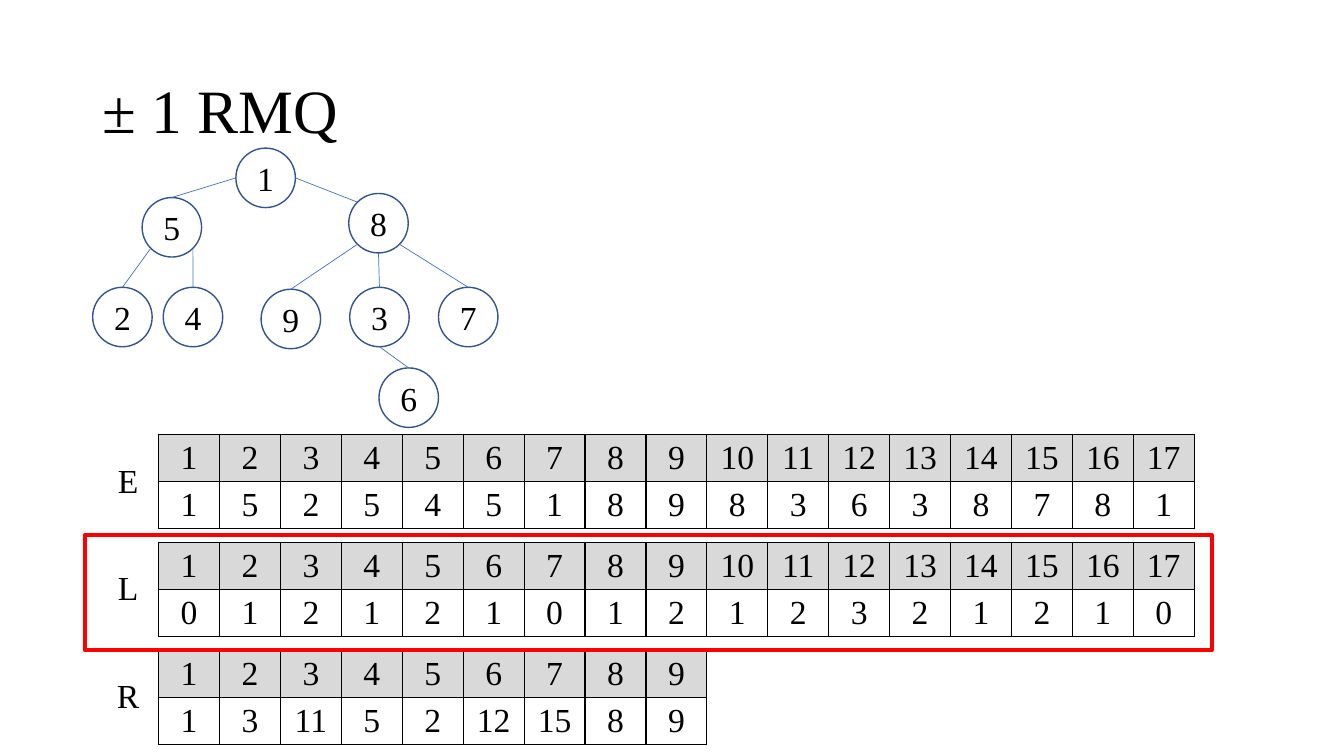
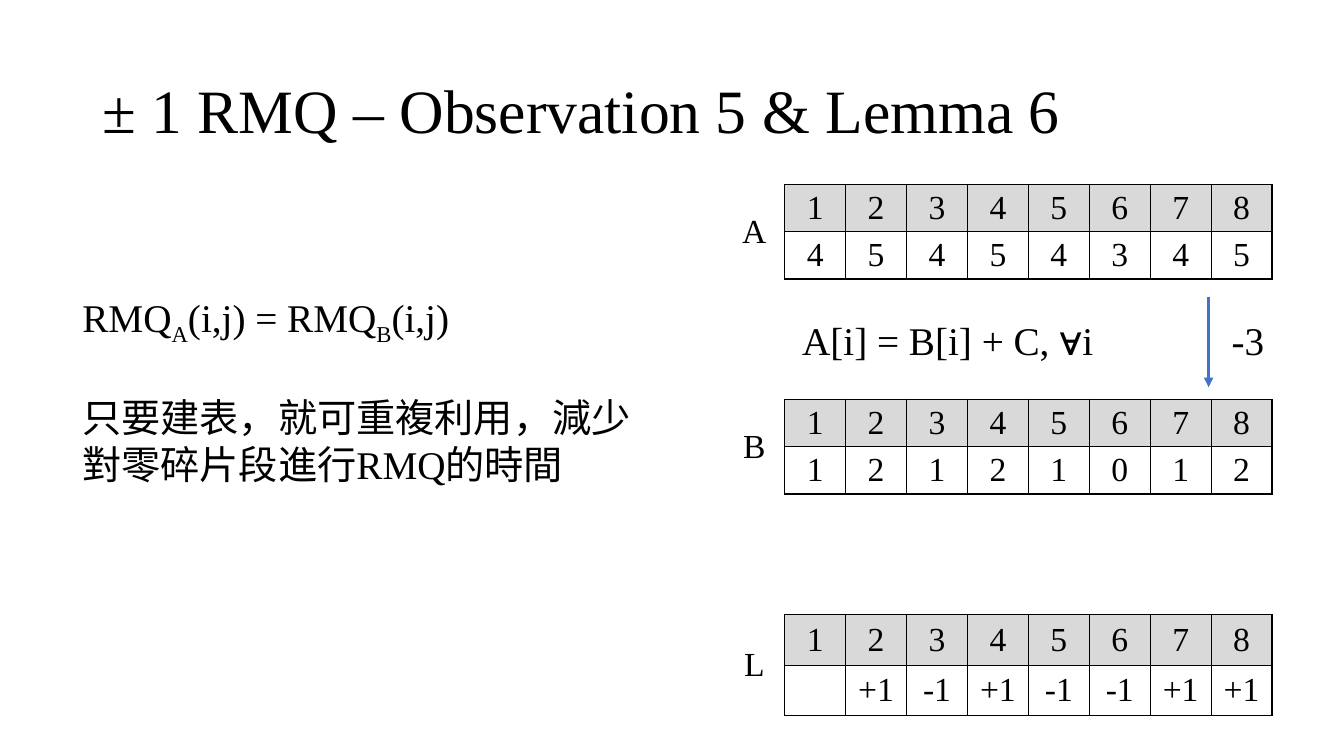
import math

import pptx
import pptx.dml.color
import pptx.enum.shapes
import pptx.enum.text
import pptx.oxml.ns
import pptx.util
from lxml import etree

Pt = pptx.util.Pt
RGBColor = pptx.dml.color.RGBColor
qn = pptx.oxml.ns.qn
ALIGN = pptx.enum.text.PP_ALIGN
ANCHOR = pptx.enum.text.MSO_ANCHOR
SHAPE = pptx.enum.shapes.MSO_SHAPE

BLACK = RGBColor(0x00, 0x00, 0x00)
WHITE = RGBColor(0xFF, 0xFF, 0xFF)
GRAY = RGBColor(0xD9, 0xD9, 0xD9)
BLUE = RGBColor(0x44, 0x72, 0xC4)
DARK_BLUE = RGBColor(0x32, 0x54, 0x91)
RED = RGBColor(0xFF, 0x00, 0x00)

LATIN = "Times New Roman"
CHINESE = "Noto Sans CJK SC"

NODE_SIZE = 42.5
COLUMN_WIDTH = 43.52
ROW_HEIGHT = 33.75

# Connection sites of an ellipse, counted counterclockwise from the top
TOP, TOP_LEFT, LEFT, BOTTOM_LEFT, BOTTOM, BOTTOM_RIGHT, RIGHT = range(7)

NODES = {
    1: (168.5, 105.8),
    5: (101.5, 141.1),
    2: (66.2, 205.2),
    4: (116.6, 205.2),
    8: (249.1, 138.2),
    9: (186.5, 206.6),
    3: (249.8, 205.2),
    6: (270.7, 262.8),
    7: (313.2, 205.2),
}
EDGES = [
    (1, LEFT, 5, TOP),
    (5, BOTTOM_LEFT, 2, TOP),
    (5, BOTTOM_RIGHT, 4, TOP),
    (1, RIGHT, 8, TOP_LEFT),
    (8, BOTTOM_LEFT, 9, TOP),
    (8, BOTTOM_RIGHT, 7, TOP),
    (8, BOTTOM, 3, TOP),
    (3, BOTTOM, 6, TOP),
]
TOUR_ARRAYS = [
    ("E", "1 5 2 5 4 5 1 8 9 8 3 6 3 8 7 8 1".split()),
    ("L", "0 1 2 1 2 1 0 1 2 1 2 3 2 1 2 1 0".split()),
    ("R", "1 3 11 5 2 12 15 8 9".split()),
]


def style(paragraph, size, align=ALIGN.LEFT):
    paragraph.alignment = align
    paragraph.font.size = Pt(size)
    paragraph.font.name = LATIN
    paragraph.font.color.rgb = BLACK


def add_text(page, left, top, width, height, text, size=28):
    box = page.shapes.add_textbox(Pt(left), Pt(top), Pt(width), Pt(height))
    box.text_frame.word_wrap = True
    box.text_frame.text = text
    style(box.text_frame.paragraphs[0], size)
    return box.text_frame


def add_page(deck, title):
    page = deck.slides.add_slide(deck.slide_layouts[6])
    frame = add_text(page, 66.2, 28.8, 828, 104.4, title, 44)
    frame.vertical_anchor = ANCHOR.MIDDLE
    frame.paragraphs[0].line_spacing = 0.9
    return page


def add_outline(page, kind, left, top, width, height, color, weight):
    shape = page.shapes.add_shape(kind, Pt(left), Pt(top), Pt(width), Pt(height))
    shape.shadow.inherit = False
    shape.fill.background()
    shape.line.color.rgb = color
    shape.line.width = Pt(weight)
    return shape


def add_node(page, number, left, top):
    node = add_outline(page, SHAPE.OVAL, left, top, NODE_SIZE, NODE_SIZE, DARK_BLUE, 1)
    node.fill.solid()
    node.fill.fore_color.rgb = WHITE
    frame = node.text_frame
    frame.margin_left = frame.margin_right = frame.margin_top = frame.margin_bottom = 0
    frame.vertical_anchor = ANCHOR.MIDDLE
    frame.text = str(number)
    style(frame.paragraphs[0], 24, ALIGN.CENTER)
    return node


def add_line(page, start, end, weight):
    line = page.shapes.add_connector(
        pptx.enum.shapes.MSO_CONNECTOR.STRAIGHT, *(Pt(value) for value in (*start, *end))
    )
    line.line.color.rgb = BLUE
    line.line.width = Pt(weight)
    etree.SubElement(line._element.spPr, qn("a:effectLst"))
    return line


def site_point(number, site):
    """Return the point on a node's rim that belongs to a connection site."""
    left, top = NODES[number]
    radius = NODE_SIZE / 2
    angle = math.radians(45 * site)
    return left + radius * (1 - math.sin(angle)), top + radius * (1 - math.cos(angle))


def add_tree(page):
    nodes = {number: add_node(page, number, *place) for number, place in NODES.items()}
    for parent, parent_site, child, child_site in EDGES:
        edge = add_line(page, site_point(parent, parent_site), site_point(child, child_site), 0.5)
        links = edge._element.nvCxnSpPr.cNvCxnSpPr
        for tag, number, site in (("a:stCxn", parent, parent_site), ("a:endCxn", child, child_site)):
            etree.SubElement(links, qn(tag), id=str(nodes[number].shape_id), idx=str(site))


def set_borders(cell, visible):
    """Draw the named sides (L, R, T, B) in black and hide the others."""
    properties = cell._tc.get_or_add_tcPr()
    for index, side in enumerate("LRTB"):
        border = etree.Element(qn(f"a:ln{side}"), w=str(Pt(1)))
        if side in visible:
            fill = etree.SubElement(border, qn("a:solidFill"))
            etree.SubElement(fill, qn("a:srgbClr"), val=str(BLACK))
        else:
            etree.SubElement(border, qn("a:noFill"))
        properties.insert(index, border)


def fill_cell(cell, text, color, visible="LRTB"):
    cell.text = text
    cell.vertical_anchor = ANCHOR.MIDDLE
    cell.margin_left = cell.margin_right = cell.margin_top = cell.margin_bottom = Pt(2)
    if color is None:
        cell.fill.background()
    else:
        cell.fill.solid()
        cell.fill.fore_color.rgb = color
    style(cell.text_frame.paragraphs[0], 24, ALIGN.CENTER)
    set_borders(cell, visible)


def add_array(page, left, top, label, values, row_height=ROW_HEIGHT):
    """Add a labelled array: a grey row of indices above a row of values."""
    count = len(values) + 1
    frame = page.shapes.add_table(
        2, count, Pt(left), Pt(top), Pt(COLUMN_WIDTH * count), Pt(2 * row_height)
    )
    table = frame.table
    table.first_row = table.horz_banding = False
    for column in table.columns:
        column.width = Pt(COLUMN_WIDTH)
    for row in table.rows:
        row.height = Pt(row_height)
    fill_cell(table.cell(0, 0), label, None, "R")
    fill_cell(table.cell(1, 0), "", None, "R")
    table.cell(0, 0).merge(table.cell(1, 0))
    for index, value in enumerate(values, 1):
        fill_cell(table.cell(0, index), str(index), GRAY)
        fill_cell(table.cell(1, index), value, WHITE)


def add_span(paragraph, text, baseline=None, chinese=False):
    span = paragraph.add_run()
    span.text = text
    properties = span._r.get_or_add_rPr()
    if baseline is not None:
        properties.set("baseline", str(baseline * 1000))
    if chinese:
        span.font.name = CHINESE
        etree.SubElement(properties, qn("a:ea"), typeface=CHINESE)


def add_remark(page):
    frame = add_text(page, 51.8, 205.9, 416.9, 143.3, "")
    formula = frame.paragraphs[0]
    for text, baseline in (
        ("RMQ", None), ("A", -25), ("(i,j) = RMQ", None), ("B", -25), ("(i,j)", None)
    ):
        add_span(formula, text, baseline)
    reuse = frame.add_paragraph()
    reuse.space_before = Pt(33)
    style(reuse, 28)
    add_span(reuse, "只要建表，就可重複利用，減少對零碎片段進行", chinese=True)
    add_span(reuse, "RMQ")
    add_span(reuse, "的時間", chinese=True)


def build_tour_page(deck):
    page = add_page(deck, "± 1 RMQ")
    add_tree(page)
    for index, (label, values) in enumerate(TOUR_ARRAYS):
        add_array(page, 69.8, 310.3 + 77.1 * index, label, values)
    add_outline(page, SHAPE.RECTANGLE, 60.5, 382.3, 805, 82.1, RED, 3)


def build_lemma_page(deck):
    page = add_page(deck, "± 1 RMQ – Observation 5 & Lemma 6")
    left = 517
    add_array(page, left, 131.8, "A", "4 5 4 5 4 3 4 5".split())
    add_array(page, left, 285.4, "B", "1 2 1 2 1 0 1 2".split())
    add_array(page, left, 439.2, "L", ["", *"+1 -1 +1 -1 -1 +1 +1".split()], 36)
    add_text(page, 565.9, 222.5, 321.8, 41, "A[i] = B[i] + C, ∀i")
    add_text(page, 872.6, 222.5, 46.8, 41, "-3")
    arrow = add_line(page, (863.3, 212.4), (863.3, 276.5), 2.25)
    etree.SubElement(arrow.line._get_or_add_ln(), qn("a:tailEnd"), type="triangle")
    add_remark(page)


def main():
    deck = pptx.Presentation()
    deck.slide_width, deck.slide_height = Pt(960), Pt(540)
    build_tour_page(deck)
    build_lemma_page(deck)
    deck.save("out.pptx")


if __name__ == "__main__":
    main()
